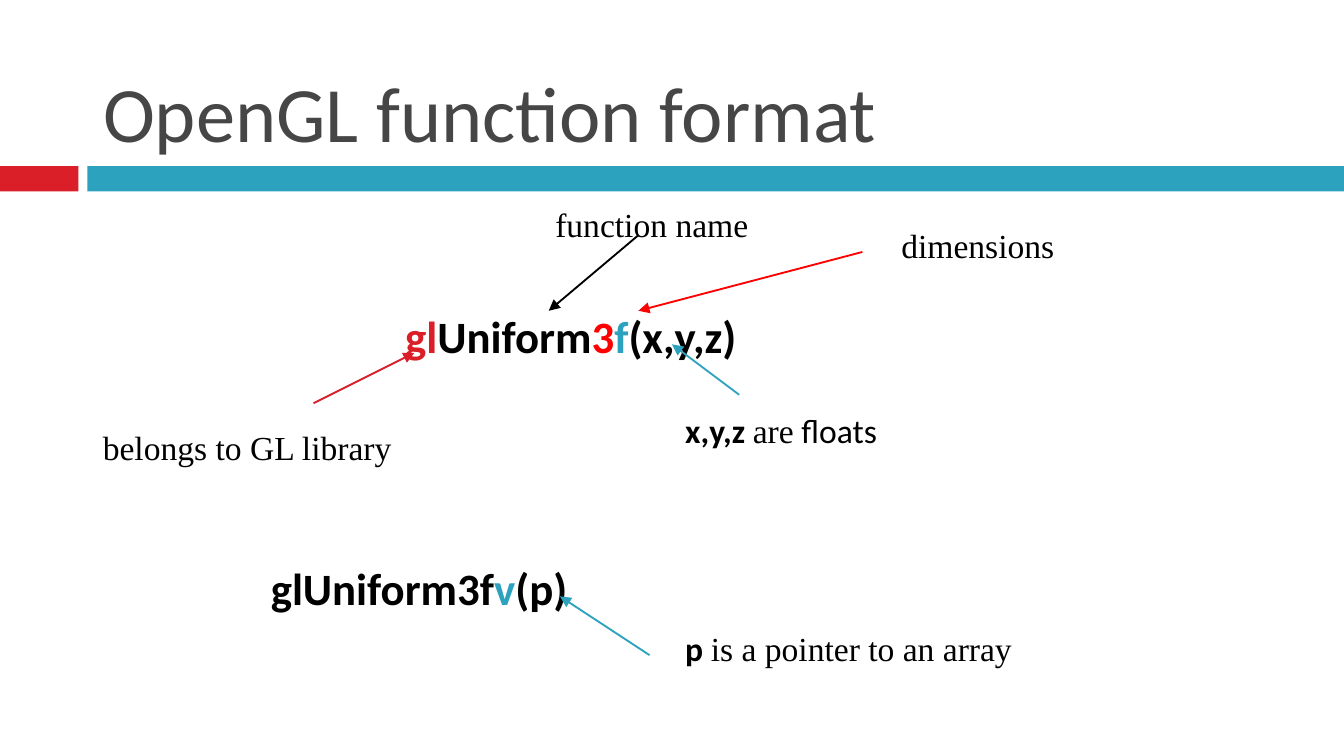
"""Build a slide that explains the parts of an OpenGL function name."""
from lxml.etree import SubElement
from pptx import Presentation
from pptx.dml.color import RGBColor
from pptx.enum.shapes import MSO_CONNECTOR, MSO_SHAPE
from pptx.enum.text import MSO_ANCHOR, MSO_AUTO_SIZE, PP_ALIGN
from pptx.oxml.ns import qn
from pptx.util import Inches, Pt

COL, ROW = 1 / 12, 1 / 16
SANS, SERIF = "Calibri", "Times New Roman"
COLORS = {
    "black": "000000",
    "gray": "464646",
    "crimson": "DA1F28",
    "red": "FF0000",
    "teal": "2DA2BF",
}


def rgb(name):
    return RGBColor.from_string(COLORS[name])


def grid(col, row):
    return Inches(col * COL), Inches(row * ROW)


def add_run(p, text, size, font=SANS, color="black", bold=False):
    r = p.add_run()
    r.text = text
    r.font.size = Pt(size)
    r.font.name = font
    r.font.bold = bold
    r.font.color.rgb = rgb(color)


def set_title(s, text):
    sp = s.shapes.title
    sp.left, sp.top = grid(8, 2)
    sp.width, sp.height = grid(107, 17.65)
    tf = sp.text_frame
    tf.auto_size = MSO_AUTO_SIZE.NONE
    tf.vertical_anchor = MSO_ANCHOR.BOTTOM
    p = tf.paragraphs[0]
    p.alignment = PP_ALIGN.LEFT
    add_run(p, text, 42, color="gray")


def add_bar(s, col, cols, color):
    sp = s.shapes.add_shape(MSO_SHAPE.RECTANGLE, *grid(col, 19.8), *grid(cols, 3))
    sp.shadow.inherit = False
    sp.fill.solid()
    sp.fill.fore_color.rgb = rgb(color)
    sp.line.fill.background()


def add_text(s, col, row, cols, size, runs):
    sp = s.shapes.add_textbox(*grid(col, row), *grid(cols, size / 3))
    tf = sp.text_frame
    tf.word_wrap = False
    tf.auto_size = MSO_AUTO_SIZE.SHAPE_TO_FIT_TEXT
    for text, font, color, bold in runs:
        add_run(tf.paragraphs[0], text, size, font, color, bold)


def add_code(s, col, row, cols, parts):
    add_text(s, col, row, cols, 24, [(text, SANS, color, True) for text, color in parts])


def add_label(s, col, row, cols, *parts):
    runs = [(text, font, "black", bold) for text, font, bold in parts]
    add_text(s, col, row, cols, 18, runs)


def add_arrow(s, start, end, color):
    line = s.shapes.add_connector(MSO_CONNECTOR.STRAIGHT, *grid(*start), *grid(*end))
    line.line.color.rgb = rgb(color)
    line.line.width = Pt(1)
    SubElement(line.line._get_or_add_ln(), qn("a:tailEnd"), type="triangle")
    SubElement(line._element.spPr, qn("a:effectLst"))


def main():
    prs = Presentation()
    prs.slide_width, prs.slide_height = grid(120, 90)
    s = prs.slides.add_slide(prs.slide_layouts[5])

    add_bar(s, 0, 7, "crimson")
    add_bar(s, 7.8, 112.2, "teal")
    set_title(s, "OpenGL function format")

    add_code(s, 35, 36, 33.2, [
        ("gl", "crimson"), ("Uniform", "black"), ("3", "red"),
        ("f", "teal"), ("(x,y,z)", "black"),
    ])
    add_code(s, 23, 66, 29.5, [("glUniform3f", "black"), ("v", "teal"), ("(p)", "black")])

    add_label(s, 8, 50, 28.4, ("belongs to GL library", SERIF, False))
    add_label(s, 48.4, 23.5, 19.8, ("function name", SERIF, False))
    add_label(s, 79.3, 26, 16.2, ("dimensions", SERIF, False))
    add_label(s, 60, 48, 20.5, ("x,y,z ", SANS, True), ("are", SERIF, False),
              (" floats", SANS, False))
    add_label(s, 60, 74, 32, ("p ", SANS, True), ("is a pointer to an array", SERIF, False))

    for start, end, color in [
        ((28, 48), (37, 42), "crimson"),
        ((57, 28), (49, 37), "black"),
        ((66, 47), (60, 41), "teal"),
        ((58, 78), (50, 71), "teal"),
        ((77, 30), (57, 37), "red"),
    ]:
        add_arrow(s, start, end, color)

    prs.save("out.pptx")


if __name__ == "__main__":
    main()
